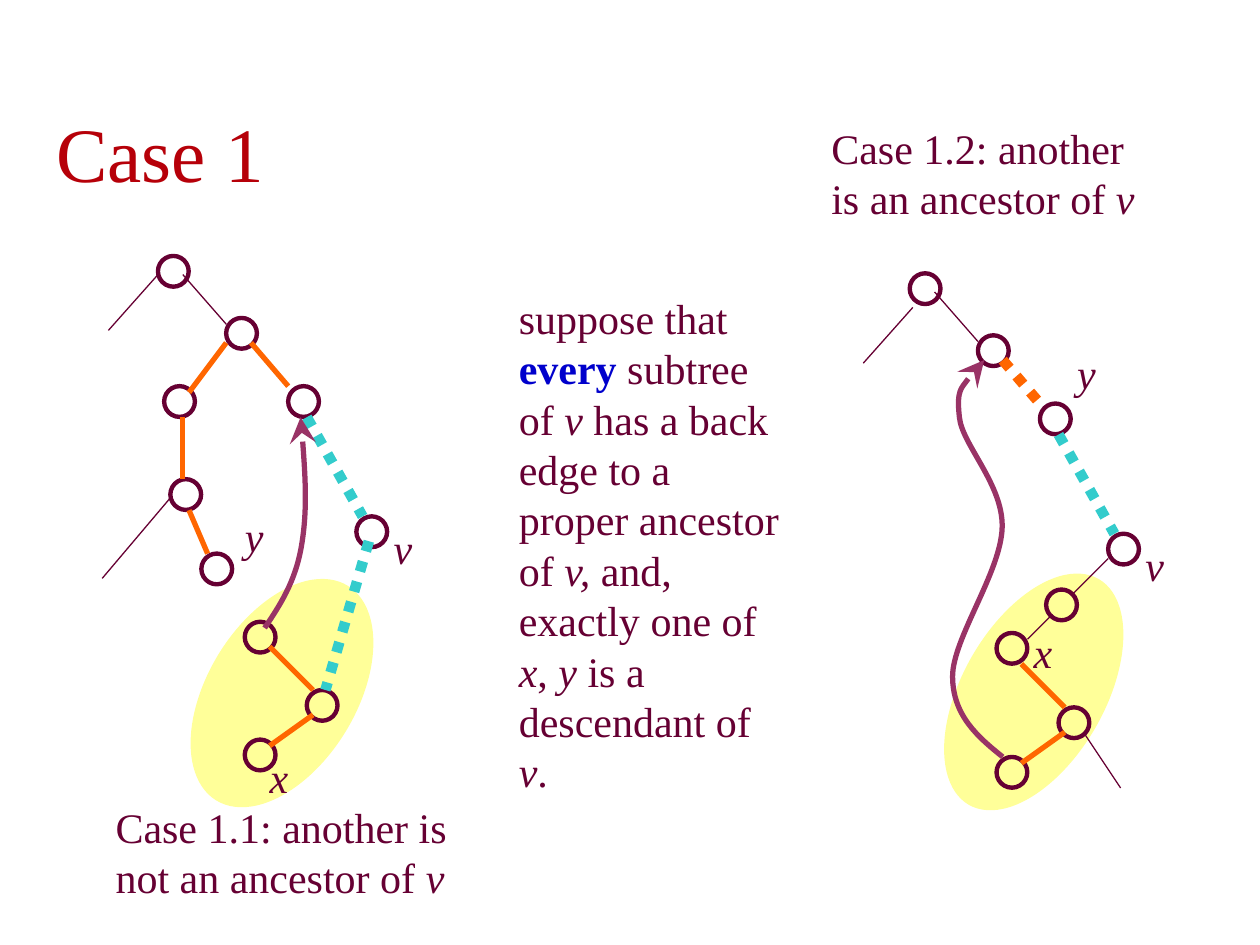
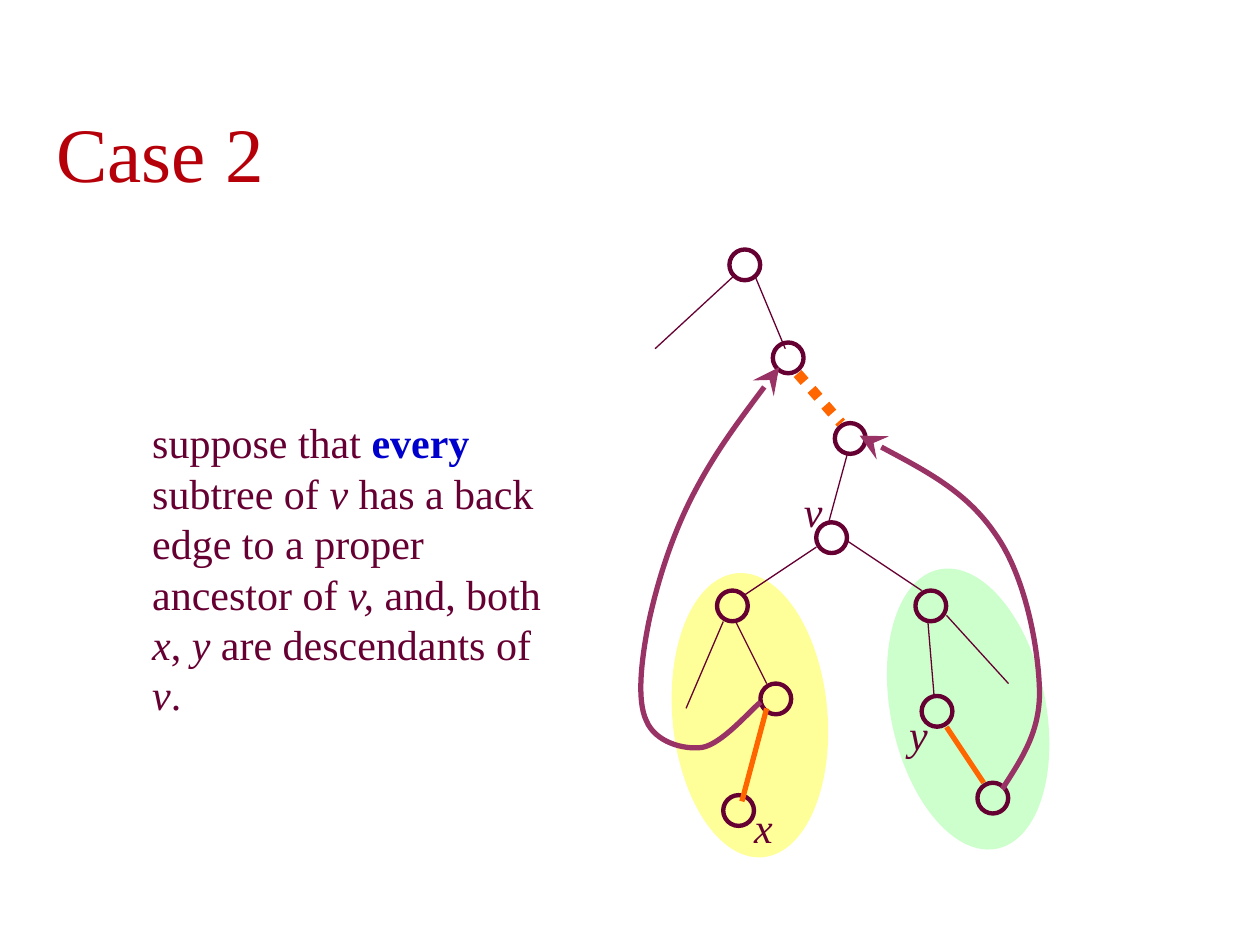
from lxml.etree import SubElement
from pptx import Presentation
from pptx.dml.color import RGBColor
from pptx.enum.dml import MSO_LINE
from pptx.enum.shapes import MSO_CONNECTOR, MSO_SHAPE
from pptx.enum.text import MSO_ANCHOR
from pptx.oxml.ns import qn
from pptx.util import Cm, Pt

COLORS = {
    "title": "B60009",
    "text": "660033",
    "emphasis": "0000CC",
    "thin": "660033",
    "tree": "FF6600",
    "path": "33CCCC",
    "back": "993366",
    "yellow": "FFFF99",
    "green": "CCFFCC",
}
FONT = "Times New Roman"
NODE = 0.62

# Edge kind: colour, width in points, dotted
EDGE_STYLES = {
    "thin": ("thin", 0.75, False),
    "tree": ("tree", 3, False),
    "tree dots": ("tree", 6, True),
    "path dots": ("path", 6, True),
}

# Tree parts are counted in grid steps from the tree's left and top.
# Subtree: x, y, width, height, rotation, colour
CASE_1_1 = {
    "subtrees": [(8.7, 58.5, 40.6, 24, 301.5, "yellow")],
    "nodes": [(9, 0), (20, 10), (10, 21), (30, 21), (11, 36), (16, 48),
              (41, 42), (23, 59), (33, 70), (23, 78)],
    "labels": {"x": (25, 79), "y": (21, 40), "v": (45, 42)},
    "edges": {
        "thin": [(9, 3, 1, 12), (13, 3, 20, 11), (11, 39, 0, 52)],
        "tree": [(20, 14, 14, 22), (13, 26, 13, 36), (14, 41, 17, 48),
                 (24, 14, 30, 21), (34, 74, 27, 79), (34, 70, 27, 63)],
        "path dots": [(33, 26, 42, 42), (43, 46, 36, 70)],
    },
    "back_edges": [
        [(32, 26), (32.7, 33.5), (33.1, 41.3), (32.1, 47),
         (31.1, 52.6), (28.7, 56.3), (26.2, 60)],
    ],
}
CASE_1_2 = {
    "subtrees": [(7, 56, 42, 23, 299.9, "yellow")],
    "nodes": [(8, 0), (19, 10), (29, 21), (40, 42), (30, 51), (22, 58),
              (32, 70), (22, 78)],
    "labels": {"x": (26, 56), "y": (33, 11), "v": (44, 42)},
    "edges": {
        "thin": [(8.5, 5.5, 0.5, 14.5), (12, 3, 19, 11), (27, 59, 31, 55),
                 (34, 52, 40, 46), (36, 74, 42, 83)],
        "tree": [(33, 74, 26, 79), (33, 70, 26, 63)],
        "tree dots": [(23, 14, 29, 21)],
        "path dots": [(32, 26, 41, 42)],
    },
    "back_edges": [
        [(20, 14), (17.6, 16.5), (15.5, 18.7), (16, 23.2),
         (16.4, 27.6), (23.1, 34.1), (22.9, 41),
         (22.7, 48.2), (14.9, 58.9), (14.9, 65),
         (14.9, 71.3), (19, 74.8), (23, 78)],
    ],
}
CASE_2 = {
    "subtrees": [(30.5, 61.6, 46, 25, 258.3, "green"),
                 (-4.7, 62.6, 46, 25, 264.8, "yellow")],
    "nodes": [(15, 0), (22, 15), (32, 28), (29, 44), (13, 55), (45, 55),
              (20, 70), (46, 72), (14, 88), (55, 86)],
    "labels": {"x": (17, 88), "y": (42, 73), "v": (25, 37)},
    "edges": {
        "thin": [(16, 4, 3, 16), (19, 4, 24, 16), (34, 33, 31, 44),
                 (29, 48, 17, 56), (34, 47, 46, 55), (16, 60, 21, 70),
                 (14, 60, 8, 74), (47, 60, 48, 72), (50, 59, 60, 70)],
        "tree": [(21, 74, 17, 89), (50, 77, 56, 86)],
        "tree dots": [(26, 20, 33, 28)],
    },
    "back_edges": [
        [(36, 30), (44.5, 34.5), (53.2, 39), (57.9, 45.9),
         (62.8, 52.8), (64.8, 64.2), (65, 70.9),
         (65.2, 77.8), (62, 82.3), (59, 87)],
        [(23, 19), (17.7, 26), (12.4, 33.1), (8.9, 40),
         (5.5, 46.7), (3.3, 54), (2, 60),
         (0.8, 66), (0, 72.7), (1.6, 76),
         (3, 79.4), (7.5, 80.7), (10.6, 80.3),
         (13.8, 79.7), (18.1, 74.6), (20, 73)],
    ],
}
CLAIM = "suppose that *every* subtree of _v_ has a back edge to a proper ancestor of _v, _and, "


def color(name):
    return RGBColor.from_string(COLORS[name])


def steps(count):
    """Length of a number of grid steps, eight to a centimetre."""
    return Cm(count / 8)


def marked_pieces(text):
    """Split text into (piece, mark), where _..._ is italic and *...* is emphasis."""
    mark, piece = "", ""
    for letter in text:
        if letter in "_*":
            if piece:
                yield piece, mark
            mark, piece = "" if mark else letter, ""
        else:
            piece += letter
    if piece:
        yield piece, mark


def add_text(slide, text, left, top, width, height, size=24, color_name="text"):
    box = slide.shapes.add_textbox(left, top, width, height)
    frame = box.text_frame
    frame.word_wrap = True
    paragraph = frame.paragraphs[0]
    for piece, mark in marked_pieces(text):
        run = paragraph.add_run()
        run.text = piece
        font = run.font
        font.name, font.size = FONT, Pt(size)
        font.italic, font.bold = mark == "_", mark == "*"
        font.color.rgb = color("emphasis" if mark == "*" else color_name)
    return box


def add_body(slide, text, left, top, width, height):
    box = add_text(slide, text, left, top, width, height)
    paragraph = box.text_frame.paragraphs[0]
    paragraph.space_before = Pt(15)
    paragraph.line_spacing = Pt(28.8)


def add_title(slide, text):
    box = add_text(slide, text, Cm(0.89), Cm(2.01), Cm(24), Cm(2.11), 44, "title")
    box.text_frame.vertical_anchor = MSO_ANCHOR.BOTTOM


def add_ellipse(slide, left, top, width, height):
    ellipse = slide.shapes.add_shape(MSO_SHAPE.OVAL, left, top, width, height)
    ellipse.shadow.inherit = False
    return ellipse


def add_subtree(slide, left, top, width, height, rotation, fill):
    ellipse = add_ellipse(slide, left, top, width, height)
    ellipse.rotation = rotation
    ellipse.fill.solid()
    ellipse.fill.fore_color.rgb = color(fill)
    ellipse.line.fill.background()


def add_node(slide, left, top):
    node = add_ellipse(slide, left, top, Cm(NODE), Cm(NODE))
    node.fill.background()
    node.line.color.rgb = color("text")
    node.line.width = Pt(2.5)


def add_edge(slide, kind, start, end):
    color_name, width, dotted = EDGE_STYLES[kind]
    edge = slide.shapes.add_connector(MSO_CONNECTOR.STRAIGHT, *start, *end)
    edge.line.color.rgb = color(color_name)
    edge.line.width = Pt(width)
    if dotted:
        edge.line.dash_style = MSO_LINE.ROUND_DOT
    SubElement(edge.element.spPr, qn("a:effectLst"))


def add_back_edge(slide, points):
    """Draw a Bezier curve with an arrowhead at its first point."""
    builder = slide.shapes.build_freeform(*points[0])
    builder.add_line_segments(points[1:], close=False)
    curve = builder.convert_to_shape()
    curve.shadow.inherit = False
    curve.fill.background()
    curve.line.color.rgb = color("back")
    curve.line.width = Pt(3)
    properties = curve.element.spPr
    SubElement(properties.find(qn("a:ln")), qn("a:headEnd"),
               type="stealth", w="lg", len="lg")
    # Every three line segments become one cubic segment.
    outline = properties.find(".//" + qn("a:path"))
    segments = outline.findall(qn("a:lnTo"))
    for first in range(0, len(segments), 3):
        cubic = SubElement(outline, qn("a:cubicBezTo"))
        for segment in segments[first:first + 3]:
            cubic.append(segment[0])
            outline.remove(segment)


def add_tree(slide, tree, left, top):
    def place(x, y):
        return left + steps(x), top + steps(y)

    for x, y, width, height, rotation, fill in tree["subtrees"]:
        add_subtree(slide, *place(x, y), steps(width), steps(height), rotation, fill)
    for node in tree["nodes"]:
        add_node(slide, *place(*node))
    for letter, position in tree["labels"].items():
        add_body(slide, f"_{letter}_", *place(*position), Cm(0.86), Cm(1.27))
    for kind, edges in tree["edges"].items():
        for x1, y1, x2, y2 in edges:
            add_edge(slide, kind, place(x1, y1), place(x2, y2))
    for points in tree["back_edges"]:
        add_back_edge(slide, [place(*point) for point in points])


def add_case_slide(presentation, title, trees, texts):
    slide = presentation.slides.add_slide(presentation.slide_layouts[6])
    for tree, left, top in trees:
        add_tree(slide, tree, Cm(left), Cm(top))
    add_title(slide, title)
    for text, *box in texts:
        add_body(slide, text, *map(Cm, box))


def main():
    presentation = Presentation()
    presentation.slide_width, presentation.slide_height = Cm(25.4), Cm(19.05)
    add_case_slide(
        presentation, "Case 1",
        [(CASE_1_1, 2.06, 5.16), (CASE_1_2, 17.34, 5.51)],
        [(CLAIM + "exactly one of _x_, _y _is a descendant of _v_.",
          10.21, 5.77, 5.87, 10.41),
         ("Case 1.1: another is not an ancestor of _v_", 2.08, 16.03, 8.13, 2.29),
         ("Case 1.2: another is an ancestor of _v_", 16.51, 2.34, 7.01, 2.29)])
    add_case_slide(
        presentation, "Case 2",
        [(CASE_2, 12.83, 5.03)],
        [(CLAIM + "both _x_, _y _are descendants of _v_.",
          2.82, 8.28, 8.86, 6.35)])
    presentation.save("out.pptx")


if __name__ == "__main__":
    main()
